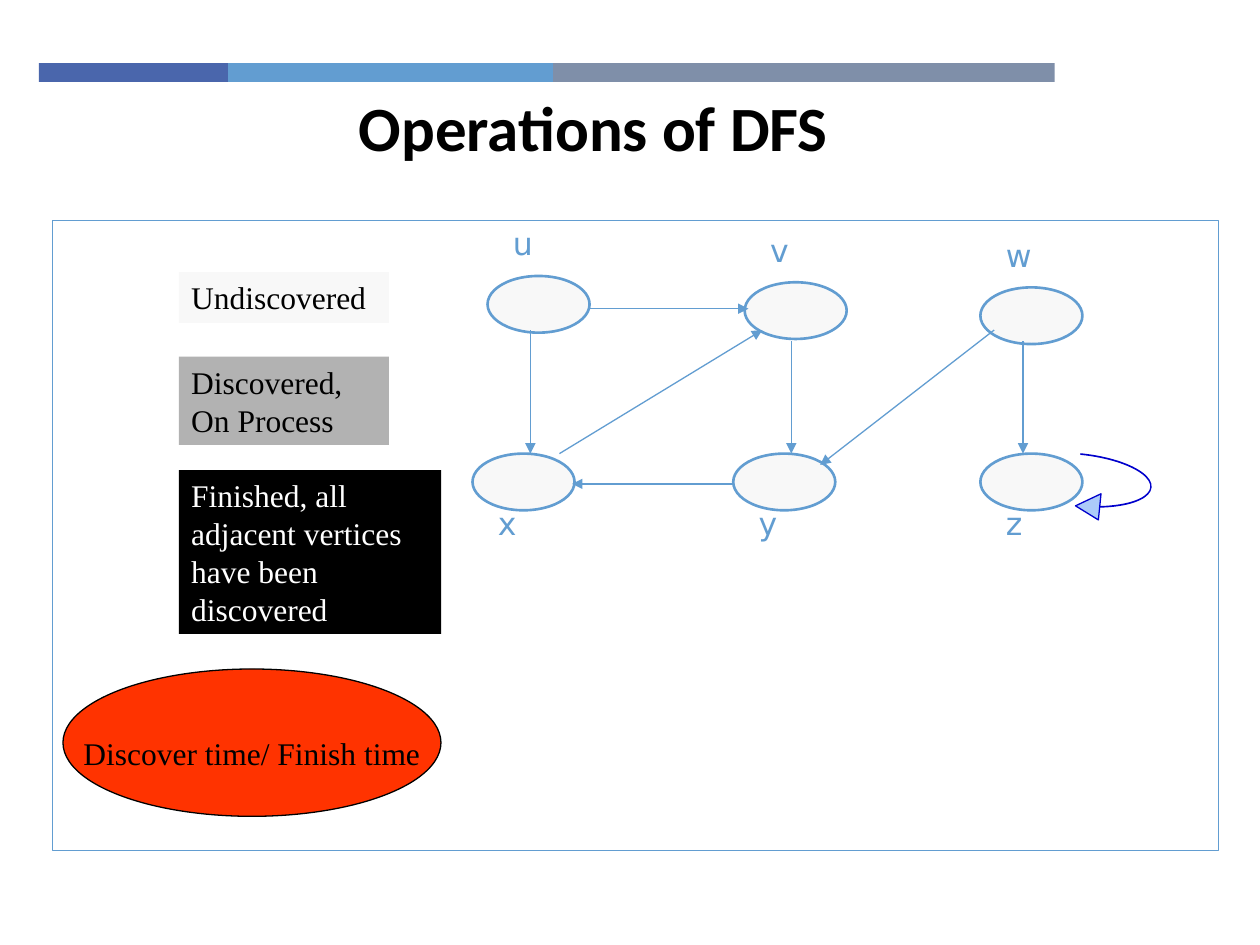
from lxml import etree
from pptx import Presentation
from pptx.dml.color import RGBColor
from pptx.enum.shapes import MSO_CONNECTOR, MSO_SHAPE
from pptx.enum.text import MSO_ANCHOR, PP_ALIGN
from pptx.oxml.ns import qn
from pptx.util import Pt

RECTANGLE, OVAL = MSO_SHAPE.RECTANGLE, MSO_SHAPE.OVAL
LOOP_ARROW = MSO_SHAPE.CURVED_DOWN_ARROW
STRAIGHT = MSO_CONNECTOR.STRAIGHT
TOP, MIDDLE = MSO_ANCHOR.TOP, MSO_ANCHOR.MIDDLE
LEFT, CENTER = PP_ALIGN.LEFT, PP_ALIGN.CENTER

BLACK = RGBColor(0x00, 0x00, 0x00)
WHITE = RGBColor(0xFF, 0xFF, 0xFF)
INDIGO = RGBColor(0x4A, 0x66, 0xAC)
BLUE = RGBColor(0x62, 0x9D, 0xD1)
SLATE = RGBColor(0x7F, 0x8F, 0xA9)
PALE = RGBColor(0xF8, 0xF8, 0xF8)
GRAY = RGBColor(0xB2, 0xB2, 0xB2)
RED = RGBColor(0xFF, 0x33, 0x00)
LIGHT_BLUE = RGBColor(0xAC, 0xCB, 0xF9)
DARK_BLUE = RGBColor(0x00, 0x00, 0xCC)

SERIF = "Times New Roman"
NODE_WIDTH, NODE_HEIGHT = 58.3, 32.4
LABEL_ABOVE, LABEL_BELOW = -33.1, 25.2

# Name, left, top, label offset from the node's top
NODES = [
    ("x", 270, 259.2, LABEL_BELOW),
    ("z", 560.2, 259.2, LABEL_BELOW),
    ("y", 419, 259.2, LABEL_BELOW),
    ("w", 560.2, 164.2, LABEL_ABOVE),
    ("v", 425.5, 161.3, LABEL_ABOVE),
    ("u", 278.6, 157.7, LABEL_ABOVE),
]

# Start x, start y, end x, end y
EDGES = [
    (336.2, 176.4, 427.7, 176.4),  # u to v
    (418.3, 276.5, 326.9, 276.5),  # y to x
    (452.2, 195.1, 452.2, 259.2),  # v to y
    (303.1, 188.6, 303.1, 259.2),  # u to x
    (584.6, 195.1, 584.6, 259.2),  # w to z
    (568.1, 188.6, 468.7, 265.7),  # w to y
    (319.7, 259.2, 435.6, 188.6),  # x to v
]

# Text, top, width, height, fill, text colour
LEGEND = [
    ("Undiscovered", 155.5, 120, 29, PALE, BLACK),
    ("Discovered, On Process", 203.8, 120, 50.4, GRAY, BLACK),
    ("Finished, all adjacent vertices have been discovered",
     268.6, 150, 93.6, BLACK, WHITE),
]


def add_block(slide, kind, left, top, width, height, fill, line=None, weight=0.75):
    shape = slide.shapes.add_shape(kind, Pt(left), Pt(top), Pt(width), Pt(height))
    shape.shadow.inherit = False
    shape.fill.solid()
    shape.fill.fore_color.rgb = fill
    if line is None:
        shape.line.fill.background()
    else:
        shape.line.color.rgb = line
        shape.line.width = Pt(weight)
    return shape


def write(shape, text, font, size, color, align=LEFT, anchor=TOP, bold=False, wrap=True):
    frame = shape.text_frame
    frame.word_wrap = wrap
    frame.vertical_anchor = anchor
    paragraph = frame.paragraphs[0]
    paragraph.alignment = align
    run = paragraph.add_run()
    run.text = text
    run.font.name = font
    run.font.size = Pt(size)
    run.font.bold = bold
    run.font.color.rgb = color


def add_text(slide, left, top, width, height, *args, **style):
    box = slide.shapes.add_textbox(Pt(left), Pt(top), Pt(width), Pt(height))
    write(box, *args, **style)
    return box


def add_node(slide, name, left, top, label_offset):
    add_block(slide, OVAL, left, top, NODE_WIDTH, NODE_HEIGHT, PALE, BLUE, 1.5)
    label = add_text(slide, left + 1.5, top + label_offset, NODE_WIDTH, 29,
                     name, "DejaVu Sans", 18, BLUE)
    label.text_frame.margin_left = Pt(13)


def add_edge(slide, *ends):
    edge = slide.shapes.add_connector(STRAIGHT, *(Pt(value) for value in ends))
    edge.line.color.rgb = BLUE
    edge.line.width = Pt(0.75)
    etree.SubElement(edge.line._get_or_add_ln(), qn("a:tailEnd"), type="triangle")
    etree.SubElement(edge._element.spPr, qn("a:effectLst"))


def main():
    presentation = Presentation()
    presentation.slide_width, presentation.slide_height = Pt(720), Pt(540)
    slide = presentation.slides.add_slide(presentation.slide_layouts[6])

    # Header bar
    left = 22.3
    for width, color in ((108, INDIGO), (185.8, BLUE), (286.6, SLATE)):
        add_block(slide, RECTANGLE, left, 36, width, 10.8, color)
        left += width

    # Title and panel
    add_text(slide, 1.4, 33.8, 675.4, 76.3, "Operations of DFS", "Calibri", 36,
             BLACK, align=CENTER, anchor=MIDDLE, bold=True)
    add_block(slide, RECTANGLE, 30.2, 126, 666, 360, WHITE, BLUE)

    # Graph
    for node in NODES:
        add_node(slide, *node)
    for edge in EDGES:
        add_edge(slide, *edge)

    # Loop from z to itself
    loop = add_block(slide, LOOP_ARROW, 617.8, 259.2, 37.4, 41.8, LIGHT_BLUE, DARK_BLUE)
    loop.rotation = 95.8
    for index, value in enumerate((0.006, 0.402, 0.369)):
        loop.adjustments[index] = value

    # Legend
    for text, top, width, height, fill, color in LEGEND:
        block = add_block(slide, RECTANGLE, 102.2, top, width, height, fill)
        write(block, text, SERIF, 18, color)

    # Time label, set slightly below the middle of its oval
    oval = add_block(slide, OVAL, 36, 382.3, 216, 84.2, RED, BLACK)
    write(oval, "Discover time/ Finish time", SERIF, 18, BLACK,
          align=CENTER, anchor=MIDDLE, wrap=False)
    oval.text_frame.margin_top = Pt(15)

    presentation.save("out.pptx")


if __name__ == "__main__":
    main()
